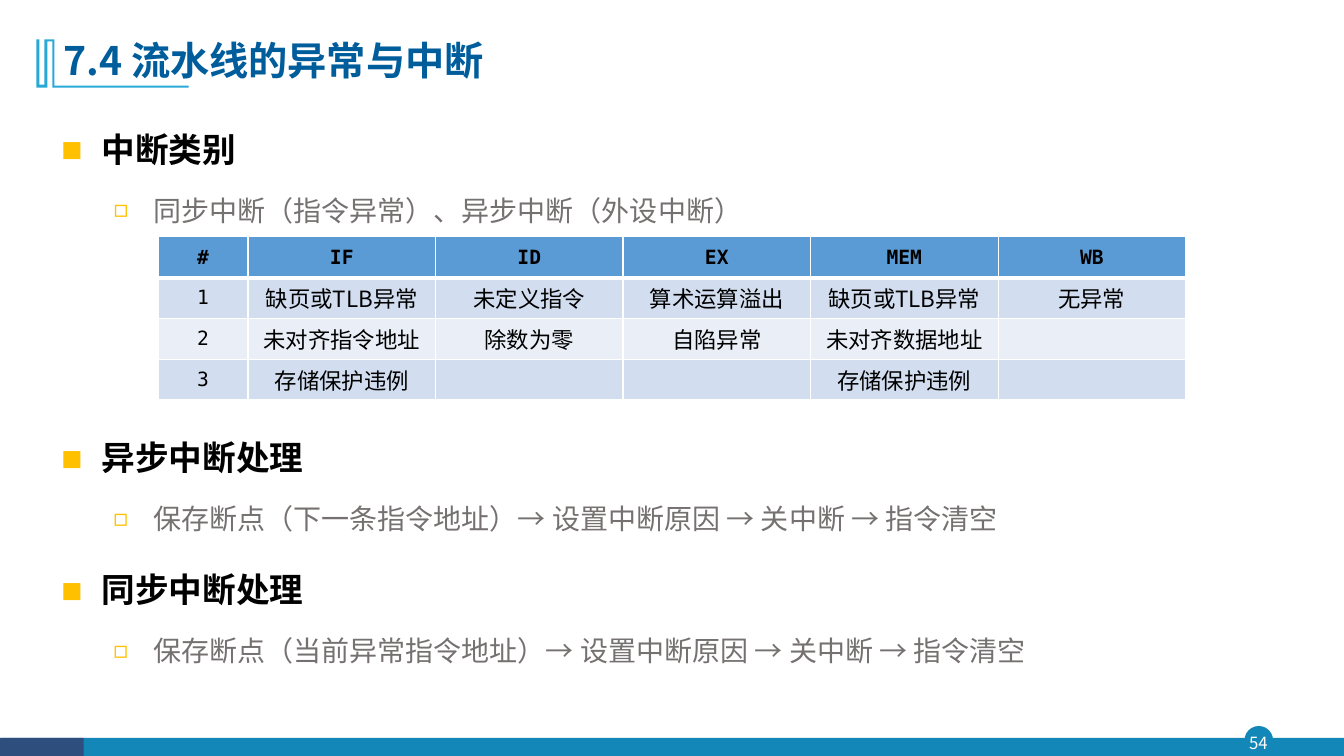
from dataclasses import dataclass

from lxml.etree import SubElement as Sub
from pptx import Presentation
from pptx.dml.color import RGBColor as Rgb
from pptx.enum.shapes import MSO_SHAPE as Kind
from pptx.enum.text import MSO_ANCHOR as Anchor, PP_ALIGN as Align
from pptx.oxml.ns import qn
from pptx.util import Inches, Pt


@dataclass(frozen=True)
class Theme:
    sans: str = "Noto Sans CJK SC"
    mono: str = "DejaVu Sans Mono"
    title: str = "005D9C"
    head: str = "000000"
    body: str = "767171"
    white: str = "FFFFFF"
    gold: str = "FFC000"
    frame: str = "28A9D6"
    teal: str = "1387B7"
    navy: str = "2E4E7E"
    top: str = "5B9BD5"
    bands: tuple = ("D2DEEF", "EAEFF7")
    big: int = 28
    h1: int = 24
    h2: int = 20
    cell: int = 16
    code: int = 14
    small: int = 12


class Deck:
    def __init__(self, theme):
        self.theme = theme
        self.prs = Presentation()
        self.prs.slide_width = Inches(13.33)
        self.prs.slide_height = Inches(7.5)
        self.slide = self.prs.slides.add_slide(self.prs.slide_layouts[6])

    def paint(self, shape, color):
        shape.shadow.inherit = False
        shape.fill.solid()
        shape.fill.fore_color.rgb = Rgb.from_string(color)
        shape.line.fill.background()

    def shape(self, kind, box, color):
        shape = self.slide.shapes.add_shape(kind, *map(Inches, box))
        self.paint(shape, color)
        return shape

    def outline(self, dots, color):
        dots = [(Inches(x), Inches(y)) for x, y in dots]
        form = self.slide.shapes.build_freeform(*dots[0])
        form.add_line_segments(dots[1:], close=True)
        self.paint(form.convert_to_shape(), color)

    def run(self, para, text, size, color, bold=False, face=None):
        run = para.add_run()
        run.text = text
        font = run.font
        font.size, font.bold = Pt(size), bold
        font.name = face or self.theme.sans
        font.color.rgb = Rgb.from_string(color)
        Sub(run._r.rPr, qn("a:ea"), typeface=font.name)

    def text(self, box, anchor=Anchor.TOP):
        frame = self.slide.shapes.add_textbox(*map(Inches, box)).text_frame
        frame.word_wrap = True
        frame.vertical_anchor = anchor
        return frame

    def bullet(self, para, mark, left, hang):
        props = para._p.get_or_add_pPr()
        props.set("marL", str(Inches(left)))
        props.set("indent", str(Inches(-hang)))
        Sub(Sub(props, qn("a:buClr")), qn("a:srgbClr"), val=self.theme.gold)
        Sub(props, qn("a:buSzPct"), val="85000")
        Sub(props, qn("a:buFont"), typeface=self.theme.mono)
        Sub(props, qn("a:buChar"), char=mark)

    def points(self, box, pairs):
        """Write pairs of a heading and the detail below it."""
        t = self.theme
        frame = self.text(box)
        for i, (head, note) in enumerate(pairs):
            para = frame.add_paragraph() if i else frame.paragraphs[0]
            self.bullet(para, "■", 0.38, 0.38)
            para.line_spacing = 1.5
            para.space_before = Pt(10 if i else 0)
            self.run(para, head, t.h1, t.head, True)
            para = frame.add_paragraph()
            para.level = 1
            self.bullet(para, "◻", 0.89, 0.39)
            para.line_spacing = 1.5
            para.space_before = Pt(5)
            self.run(para, note, t.h2, t.body)

    def border(self, cell, row):
        """Draw white cell edges, thicker under the header."""
        props = cell._tc.get_or_add_tcPr()
        thick = {0: "lnB", 1: "lnT"}.get(row)
        for side in ("lnL", "lnR", "lnT", "lnB"):
            width = Pt(3 if side == thick else 1)
            line = Sub(props, qn("a:" + side), w=str(width))
            Sub(Sub(line, qn("a:solidFill")), qn("a:srgbClr"), val=self.theme.white)

    def table(self, box, widths, rows):
        t = self.theme
        grid = self.slide.shapes.add_table(
            len(rows), len(widths), *map(Inches, box)).table
        for col, width in zip(grid.columns, widths):
            col.width = Inches(width)
        for r, row in enumerate(rows):
            for c, text in enumerate(row):
                cell = grid.cell(r, c)
                label = r == 0 or c == 0
                self.border(cell, r)
                cell.fill.solid()
                cell.fill.fore_color.rgb = Rgb.from_string(
                    t.bands[(r - 1) % 2] if r else t.top)
                cell.vertical_anchor = Anchor.MIDDLE
                cell.margin_left = cell.margin_right = Inches(0.07 if label else 0)
                cell.margin_top = cell.margin_bottom = 0
                if text:
                    para = cell.text_frame.paragraphs[0]
                    para.alignment = Align.CENTER
                    self.run(para, text, t.code if label else t.cell, t.head,
                             r == 0, t.mono if label else t.sans)


def main():
    t = Theme()
    deck = Deck(t)

    deck.outline([
        (0.54, 0.39), (0.54, 0.85), (1.87, 0.85), (1.87, 0.87), (0.52, 0.87),
        (0.52, 0.41), (0.47, 0.41), (0.47, 0.87), (0.36, 0.87), (0.36, 0.39),
        (0.39, 0.39), (0.39, 0.84), (0.44, 0.84), (0.44, 0.39)], t.frame)
    disc = deck.shape(Kind.OVAL, (12.35, 7.21, 0.27, 0.27), t.teal)
    disc.line.color.rgb = Rgb.from_string(t.teal)
    disc.line.width = Pt(1)
    deck.shape(Kind.RECTANGLE, (0.01, 7.32, 13.32, 0.19), t.teal)
    deck.shape(Kind.RECTANGLE, (0, 7.32, 0.83, 0.19), t.navy)

    page = deck.text((12.32, 7.21, 0.32, 0.31), Anchor.MIDDLE)
    page.margin_left = page.margin_right = 0
    page.margin_top = page.margin_bottom = 0
    page.paragraphs[0].alignment = Align.CENTER
    deck.run(page.paragraphs[0], "54", t.small, t.white)

    title = deck.text((0.53, 0.28, 11.5, 0.68), Anchor.MIDDLE).paragraphs[0]
    title.line_spacing = 0.9
    deck.run(title, "7.4 流水线的异常与中断", t.big, t.title, True)

    deck.points((0.53, 1.03, 9.11, 2.94), [
        ("中断类别", "同步中断（指令异常）、异步中断（外设中断）")])
    deck.table((1.57, 2.35, 10.19, 1.62), [0.89] + [1.86] * 5, [
        ("#", "IF", "ID", "EX", "MEM", "WB"),
        ("1", "缺页或TLB异常", "未定义指令", "算术运算溢出", "缺页或TLB异常", "无异常"),
        ("2", "未对齐指令地址", "除数为零", "自陷异常", "未对齐数据地址", ""),
        ("3", "存储保护违例", "", "", "存储保护违例", "")])
    steps = "→ 设置中断原因 → 关中断 → 指令清空"
    deck.points((0.53, 4.09, 11.5, 2.94), [
        ("异步中断处理", "保存断点（下一条指令地址）" + steps),
        ("同步中断处理", "保存断点（当前异常指令地址）" + steps)])

    deck.prs.save("out.pptx")


if __name__ == "__main__":
    main()
